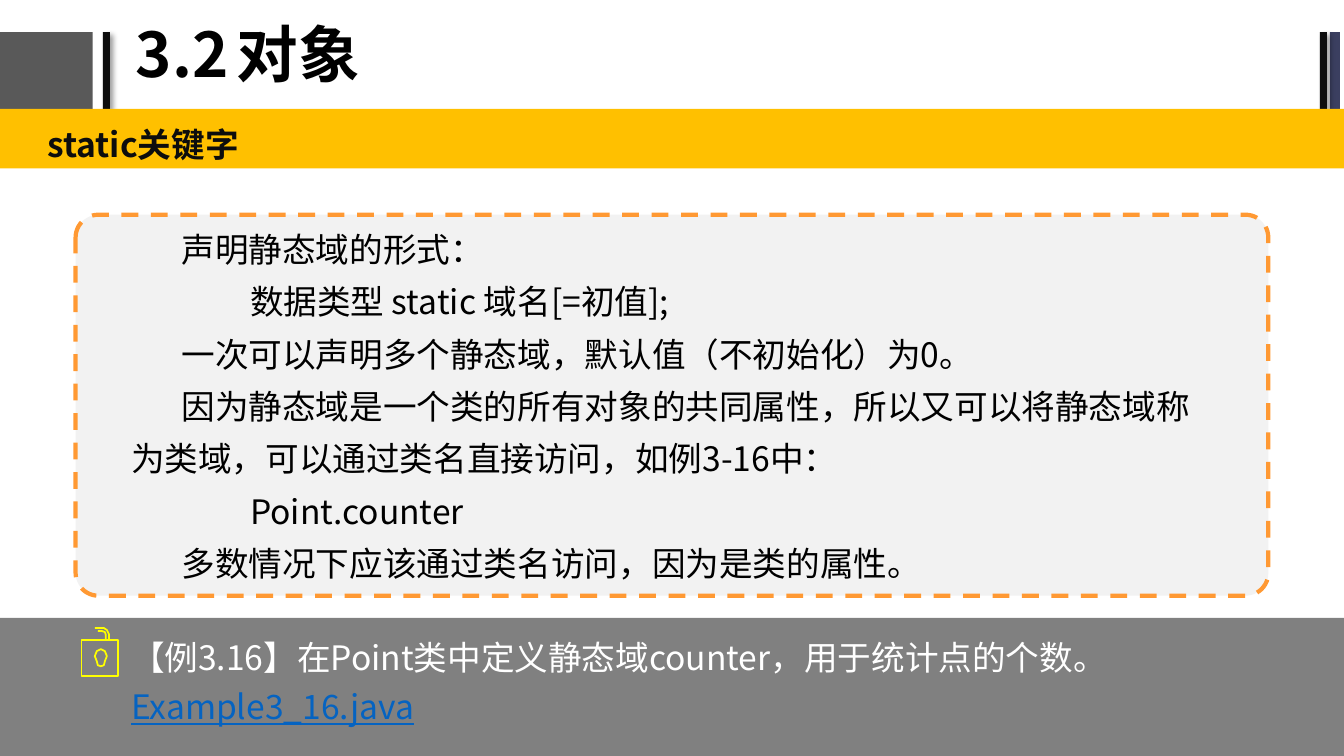
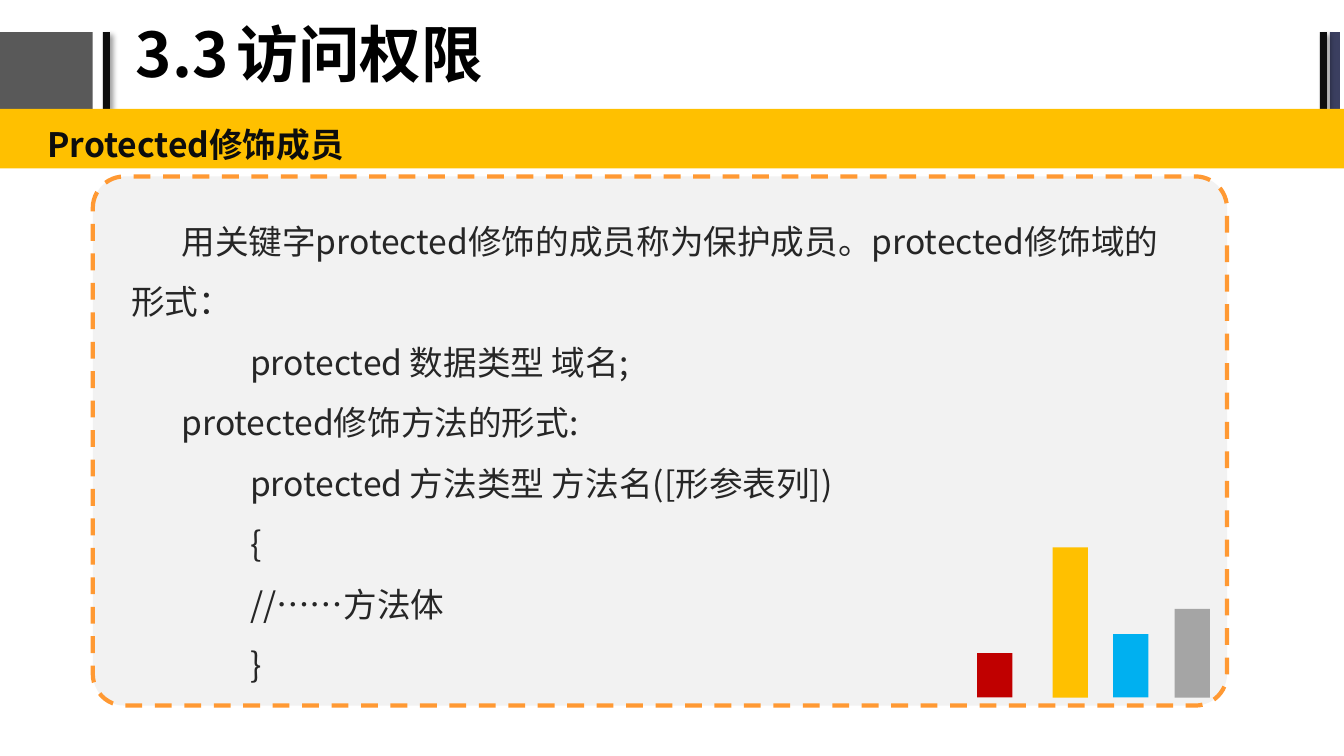
"""Build two Java lecture slides on static fields and protected members."""
from lxml import etree
from pptx import Presentation
from pptx import util as u
from pptx.dml.color import RGBColor
from pptx.enum import dml, shapes, text
from pptx.oxml import ns

WIDTH, HEIGHT = 13.33, 7.5
FONT = "Noto Sans CJK SC"
BODY_SIZE, TITLE_SIZE = 24, 44
COLORS = {
    "black": "000000", "ink": "0D0D0D", "text": "262626", "white": "FFFFFF",
    "slate": "595959", "navy": "3B3F60", "footer": "808080", "panel": "F2F2F2",
    "dash": "FF9933", "amber": "FFC000", "yellow": "FFFF00", "link": "0563C1",
    "silver": "A5A5A5", "sky": "00B0F0", "red": "C00000",
}
INSETS = (0.13, 0.07)
INDENTS = {"prose": 0.5, "code": 1.18, "plain": 0}
HEADER_TOP, HEADER_HEIGHT = 0.32, 0.76
BAND_TOP, BAND_HEIGHT = 1.08, 0.59
FOOTER_TOP = 6.13
HEADER_BLOCKS = [
    (-0.02, 0.94, "slate", False),
    (1.02, 0.07, "ink", True),
    (13.19, 0.1, "navy", False),
    (13.09, 0.07, "ink", True),
]

SLIDES = [
    {
        "title": ("3.2", "对象"),
        "topic": "static关键字",
        "panel": (0.75, 2.13, 11.83, 3.78),
        "body": (1.17, 2.08, 11.08, 3.92),
        "spacing": 1.3,
        "color": "black",
        "paragraphs": [
            ("prose", "声明静态域的形式："),
            ("code", "数据类型 static 域名[=初值];"),
            ("prose", "一次可以声明多个静态域，默认值（不初始化）为0。"),
            ("prose", "因为静态域是一个类的所有对象的共同属性，所以又可以将静态域称为类域，"
                      "可以通过类名直接访问，如例3-16中："),
            ("code", "Point.counter"),
            ("prose", "多数情况下应该通过类名访问，因为是类的属性。"),
        ],
        "example": ("【例3.16】在Point类中定义静态域counter，用于统计点的个数。",
                    "Example3_16.java"),
    },
    {
        "title": ("3.3", "访问权限"),
        "topic": "Protected修饰成员",
        "panel": (0.92, 1.75, 11.25, 5.25),
        "body": (1.17, 1.92, 10.48, 4.92),
        "spacing": 1.5,
        "color": "text",
        "paragraphs": [
            ("prose", "用关键字protected修饰的成员称为保护成员。protected修饰域的形式："),
            ("code", "protected 数据类型 域名;"),
            ("prose", "protected修饰方法的形式:"),
            ("code", "protected 方法类型 方法名([形参表列])"),
            ("code", "{"),
            ("code", "//……方法体"),
            ("code", "}"),
        ],
        "bars": [(9.69, 0.44, "red"), (10.44, 1.49, "amber"),
                 (11.04, 0.63, "sky"), (11.65, 0.88, "silver")],
    },
]
BAR_WIDTH, BAR_BASE = 0.35, 6.92

LOCK_STROKES = [
    (True, [(81, 635), (117, 635), (117, 671), (81, 671)]),
    (False, [(94, 623), (103, 623), (106, 625), (108, 629), (108, 634)]),
    (False, [(97, 626), (101, 626), (104, 627), (105, 630), (105, 634)]),
    (True, [(100, 644), (104, 646), (106, 651), (104, 656), (103, 660),
            (100, 661), (97, 660), (96, 656), (94, 651), (96, 646)]),
]


def rgb(name):
    return RGBColor.from_string(COLORS[name])


def inches(values):
    return [u.Inches(value) for value in values]


def add_block(slide, box, color, preset=shapes.MSO_SHAPE.RECTANGLE):
    shape = slide.shapes.add_shape(preset, *inches(box))
    shape.shadow.inherit = False
    shape.fill.solid()
    shape.fill.fore_color.rgb = rgb(color)
    shape.line.fill.background()
    return shape


def add_shadow(shape):
    effects = shape.element.spPr.find(ns.qn("a:effectLst"))
    shadow = etree.SubElement(effects, ns.qn("a:outerShdw"), blurRad=str(u.Pt(4)),
                              dist=str(u.Pt(3)), dir="2700000", algn="tl", rotWithShape="0")
    tint = etree.SubElement(shadow, ns.qn("a:srgbClr"), val=COLORS["black"])
    etree.SubElement(tint, ns.qn("a:alpha"), val="40000")


def add_text_box(slide, box, insets=INSETS):
    frame = slide.shapes.add_textbox(*inches(box)).text_frame
    frame.word_wrap = True
    frame.margin_left = frame.margin_right = u.Inches(insets[0])
    frame.margin_top = frame.margin_bottom = u.Inches(insets[1])
    return frame


def format_paragraph(paragraph, spacing, indent="plain"):
    paragraph.line_spacing = spacing
    properties = paragraph._p.get_or_add_pPr()
    properties.set("marL", "0")
    properties.set("indent", str(u.Inches(INDENTS[indent])))
    return properties


def add_run(paragraph, words, color, size=BODY_SIZE, bold=False, underline=False):
    run = paragraph.add_run()
    run.text = words
    font = run.font
    font.size, font.bold, font.underline = u.Pt(size), bold, underline
    font.color.rgb = rgb(color)
    font.name = FONT
    etree.SubElement(run._r.get_or_add_rPr(), ns.qn("a:ea"), typeface=FONT)


def add_header(slide, title, topic):
    for left, width, color, shadowed in HEADER_BLOCKS:
        block = add_block(slide, (left, HEADER_TOP, width, HEADER_HEIGHT), color)
        if shadowed:
            add_shadow(block)

    frame = add_text_box(slide, (1.25, 0.02, 8.47, 1.1), (0.1, 0.05))
    frame.vertical_anchor = text.MSO_ANCHOR.MIDDLE
    paragraph = frame.paragraphs[0]
    properties = format_paragraph(paragraph, 0.9)
    tabs = etree.SubElement(properties, ns.qn("a:tabLst"))
    etree.SubElement(tabs, ns.qn("a:tab"), pos=str(u.Inches(1.35)), algn="l")
    add_run(paragraph, "\t".join(title), "black", TITLE_SIZE, bold=True)

    add_block(slide, (0, BAND_TOP, WIDTH, BAND_HEIGHT), "amber")
    frame = add_text_box(slide, (0.34, BAND_TOP, WIDTH - 0.34, BAND_HEIGHT))
    format_paragraph(frame.paragraphs[0], 1.2)
    add_run(frame.paragraphs[0], topic, "ink", bold=True)


def add_panel(slide, content):
    panel = add_block(slide, content["panel"], "panel", shapes.MSO_SHAPE.ROUNDED_RECTANGLE)
    panel.adjustments[0] = 0.06
    panel.line.color.rgb = rgb("dash")
    panel.line.width = u.Pt(3)
    panel.line.dash_style = dml.MSO_LINE.DASH

    frame = add_text_box(slide, content["body"])
    for index, (kind, words) in enumerate(content["paragraphs"]):
        paragraph = frame.add_paragraph() if index else frame.paragraphs[0]
        format_paragraph(paragraph, content["spacing"], kind)
        add_run(paragraph, words, content["color"])


def add_lock(slide):
    for closed, points in LOCK_STROKES:
        builder = slide.shapes.build_freeform(*points[0], scale=u.Inches(0.01))
        builder.add_line_segments(points[1:], close=closed)
        stroke = builder.convert_to_shape()
        stroke.shadow.inherit = False
        stroke.fill.background()
        stroke.line.color.rgb = rgb("yellow")
        stroke.line.width = u.Pt(1.25)


def add_example(slide, description, file_name):
    add_block(slide, (0, FOOTER_TOP, WIDTH, HEIGHT - FOOTER_TOP), "footer")
    add_lock(slide)
    paragraph = add_text_box(slide, (1.17, 6.17, 10.98, 1.29)).paragraphs[0]
    format_paragraph(paragraph, 1.2)
    add_run(paragraph, description, "white")
    add_run(paragraph, file_name, "link", underline=True)


def main():
    presentation = Presentation()
    presentation.slide_width, presentation.slide_height = inches((WIDTH, HEIGHT))
    for content in SLIDES:
        slide = presentation.slides.add_slide(presentation.slide_layouts[6])
        add_header(slide, content["title"], content["topic"])
        if "example" in content:
            add_example(slide, *content["example"])
        add_panel(slide, content)
        for left, height, color in content.get("bars", []):
            add_block(slide, (left, BAR_BASE - height, BAR_WIDTH, height), color)
    presentation.save("out.pptx")


if __name__ == "__main__":
    main()
